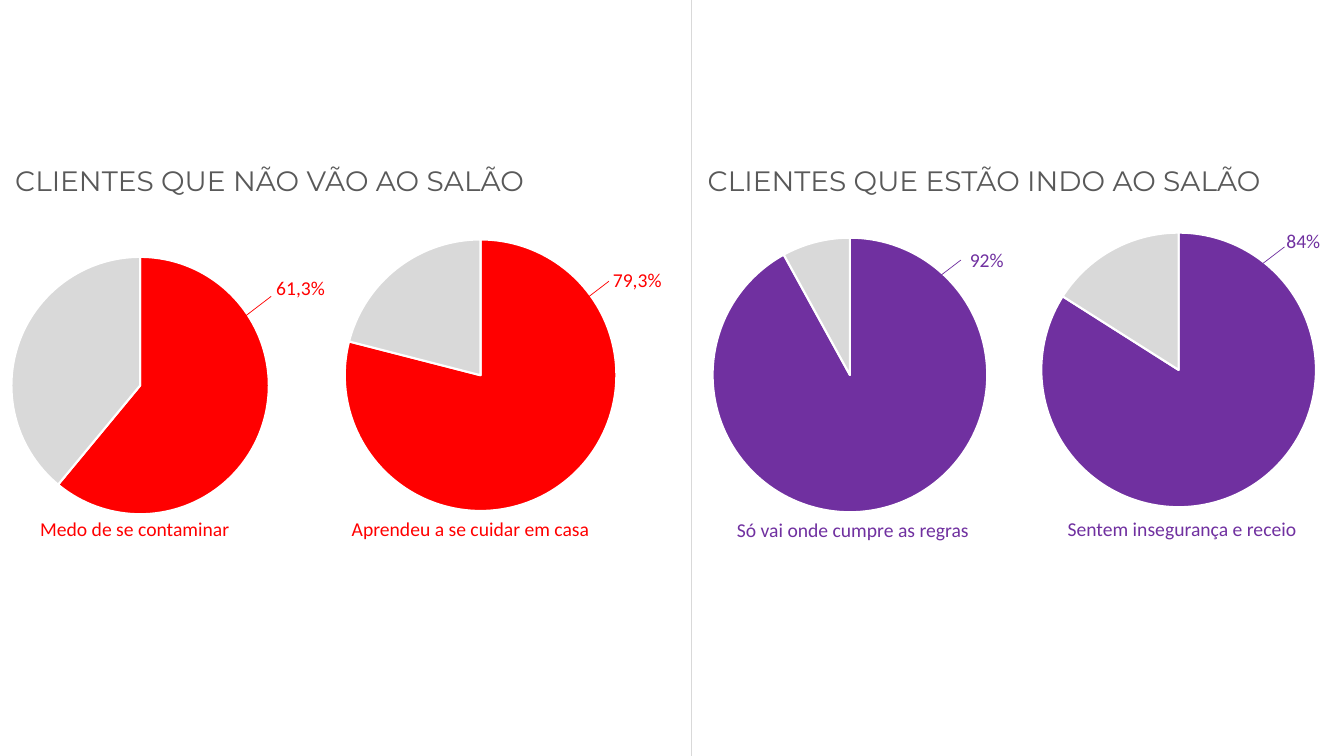
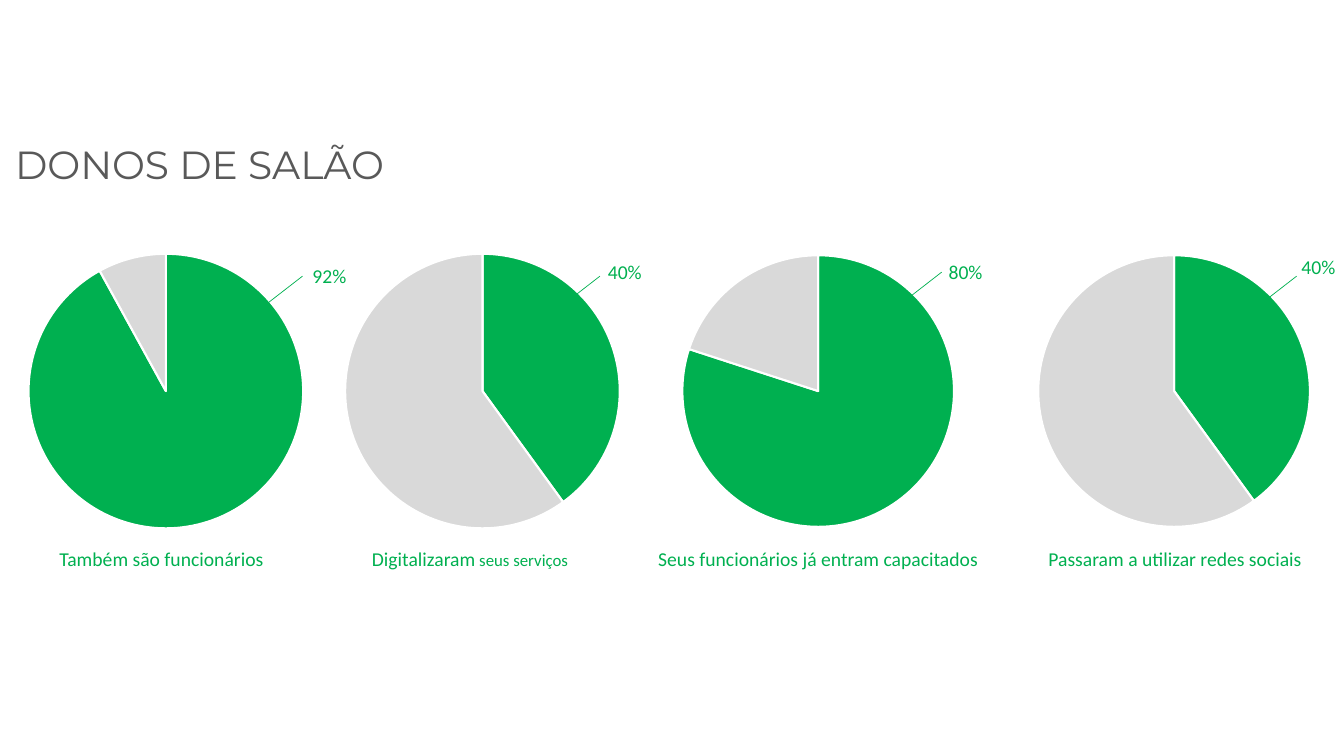
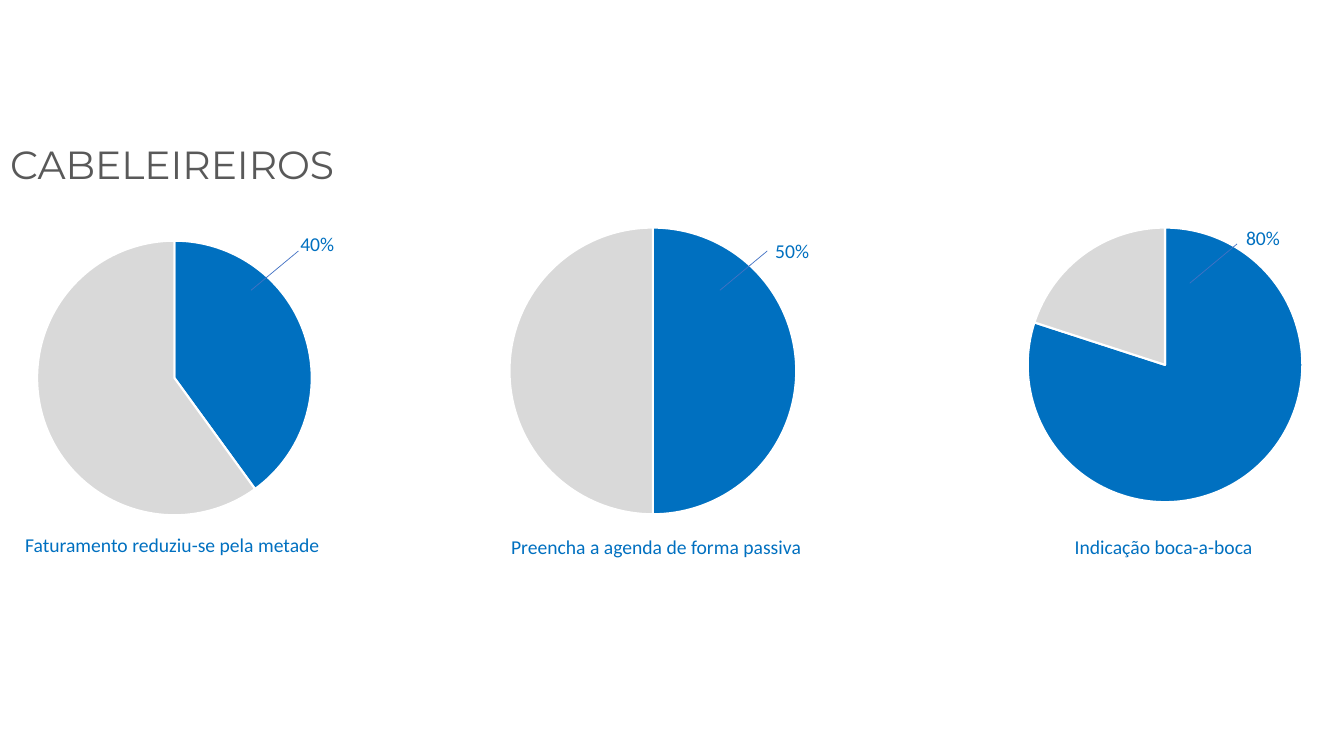
from dataclasses import dataclass

from lxml import etree
from pptx import Presentation
from pptx.chart.data import CategoryChartData
from pptx.dml.color import RGBColor
from pptx.enum.chart import XL_CHART_TYPE
from pptx.enum.shapes import MSO_CONNECTOR
from pptx.enum.text import MSO_ANCHOR, MSO_AUTO_SIZE, PP_ALIGN
from pptx.oxml.ns import qn
from pptx.util import Inches, Pt

PIE = XL_CHART_TYPE.PIE
STRAIGHT = MSO_CONNECTOR.STRAIGHT
TOP = MSO_ANCHOR.TOP
GROW = MSO_AUTO_SIZE.SHAPE_TO_FIT_TEXT
LEFT = PP_ALIGN.LEFT


@dataclass(frozen=True)
class Theme:
    title_font: str = "Montserrat"
    body_font: str = "Calibri"
    title_color: str = "595959"
    rest: str = "D9D9D9"
    border: str = "FFFFFF"
    chart_text: str = "000000"
    red: str = "FF0000"
    purple: str = "7030A0"
    green: str = "00B050"
    blue: str = "0070C0"
    leader_blue: str = "4472C4"
    label_size: float = 14
    small_size: float = 12
    chart_size: float = 10
    hairline: float = 0.5
    slice_border: float = 1.5
    label_height: float = 0.34


THEME = Theme()

# Content. Boxes are (left, top, width, height) in inches.
# Pie: share, chart box, leader start, value text, value position,
#      caption runs (text, size), caption (left, top, width), plot layout
LABEL, SMALL = THEME.label_size, THEME.small_size
SLIDES = [
    {
        "title_size": 20,
        "divider": 6.86,
        "leader": (0.51, -0.39),
        "value_width": 0.71,
        "groups": [
            ("CLIENTES QUE NÃO VÃO AO SALÃO", (0.05, 1.57, 6.28, 0.44), THEME.red, THEME.red, [
                (61, (-0.23, 2.26, 3.27, 3), (2.18, 3.33), "61,3%", (2.64, 2.69),
                 [("Medo de se contaminar", LABEL)], (0.3, 5.08, 2.16), (0.105, 0.073, 0.781, 0.898)),
                (79, (2.98, 2.25, 3.49, 3), (5.53, 3.18), "79,3%", (5.98, 2.61),
                 [("Aprendeu a se cuidar em casa", LABEL)], (3.39, 5.08, 2.67),
                 (0.126, 0.042, 0.772, 0.898)),
            ]),
            ("CLIENTES QUE ESTÃO INDO AO SALÃO", (6.92, 1.57, 6.28, 0.44), THEME.purple, THEME.purple, [
                (92, (6.83, 2.22, 3.2, 3), (9.02, 2.97), "92%", (9.52, 2.41),
                 [("Só vai onde cumpre as regras", LABEL)], (7.21, 5.09, 2.67), None),
                (84, (10.07, 2.17, 3.24, 3), (12.23, 2.84), "84%", (12.66, 2.22),
                 [("Sentem insegurança e receio", LABEL)], (10.49, 5.08, 2.67), None),
            ]),
        ],
    },
    {
        "title_size": 28,
        "leader": (0.58, -0.45),
        "value_width": 0.59,
        "groups": [
            ("DONOS DE SALÃO", (0.05, 1.34, 4.15, 0.57), THEME.green, THEME.green, [
                (92, (-0.11, 2.38, 3.51, 3), (2.42, 3.19), "92%", (3, 2.57),
                 [("Também são funcionários", LABEL)], (0.49, 5.38, 2.3), None),
                (40, (3.09, 2.38, 3.39, 3), (5.37, 3.19), "40%", (5.93, 2.53),
                 [("Digitalizaram", LABEL), (" seus serviços", SMALL)], (3.59, 5.38, 2.3), None),
                (80, (6.63, 2.38, 2.97, 3), (8.76, 3.15), "80%", (9.31, 2.53),
                 [("Seus funcionários já entram capacitados", LABEL)], (6.43, 5.38, 3.44), None),
                (40, (10.16, 2.38, 2.97, 3), (12.28, 3.19), "40%", (12.81, 2.48),
                 [("Passaram a utilizar redes sociais", LABEL)], (10.3, 5.38, 2.87), None),
            ]),
        ],
    },
    {
        "title_size": 28,
        "leader": (0.47, -0.39),
        "value_width": 0.65,
        "groups": [
            ("CABELEIREIROS", (0, 1.34, 4.15, 0.57), THEME.blue, THEME.leader_blue, [
                (40, (0.12, 2.25, 3.22, 3), (2.49, 2.88), "40%", (2.88, 2.25),
                 [("Faturamento reduziu-se pela metade", LABEL)], (0.15, 5.24, 3.39), None),
                (50, (4.69, 2.12, 3.57, 3.12), (7.14, 2.88), "50%", (7.59, 2.32),
                 [("Preencha a agenda de forma passiva", LABEL)], (4.97, 5.26, 3.39), None),
                (80, (9.9, 2.12, 3.31, 3), (11.8, 2.81), "80%", (12.26, 2.19),
                 [("Indicação boca-a-boca", LABEL)], (10.56, 5.26, 2.03), None),
            ]),
        ],
    },
]


def inches(values):
    return [Inches(value) for value in values]


def style_font(font, name, size, color):
    for attribute, value in {"name": name, "size": Pt(size), "bold": False}.items():
        setattr(font, attribute, value)
    font.color.rgb = RGBColor.from_string(color)


def write_text(shape, box, runs, font_name, color):
    """Place a text shape and fill it with (text, size) runs."""
    for attribute, value in zip(("left", "top", "width", "height"), inches(box)):
        setattr(shape, attribute, value)
    frame = shape.text_frame
    for attribute, value in {"word_wrap": True, "auto_size": GROW, "vertical_anchor": TOP}.items():
        setattr(frame, attribute, value)
    paragraph = frame.paragraphs[0]
    paragraph.alignment = LEFT
    for text, size in runs:
        run = paragraph.add_run()
        run.text = text
        style_font(run.font, font_name, size, color)


def add_label(slide, box, runs, color):
    write_text(slide.shapes.add_textbox(*inches(box)), box, runs, THEME.body_font, color)


def add_line(slide, start, end, color):
    line = slide.shapes.add_connector(STRAIGHT, *inches((*start, *end)))
    line.line.color.rgb = RGBColor.from_string(color)
    line.line.width = Pt(THEME.hairline)
    etree.SubElement(line._element.spPr, qn("a:effectLst"))


def set_plot_layout(chart, plot_box):
    """Fix the inner plot area as fractions of the chart."""
    plot_area = chart._chartSpace.chart.plotArea
    for old_layout in plot_area.findall(qn("c:layout")):
        plot_area.remove(old_layout)
    layout = etree.Element(qn("c:layout"))
    manual = etree.SubElement(layout, qn("c:manualLayout"))
    settings = [("layoutTarget", "inner"), ("xMode", "edge"), ("yMode", "edge")]
    for tag, value in settings + list(zip("xywh", plot_box)):
        etree.SubElement(manual, qn(f"c:{tag}")).set("val", str(value))
    plot_area.insert(0, layout)


def add_pie(slide, share, box, color, plot_box):
    data = CategoryChartData()
    data.categories = ["1", "2"]
    data.add_series("Series 1", (share, 100 - share))
    chart = slide.shapes.add_chart(PIE, *inches(box), data).chart
    chart.has_title = False
    chart.has_legend = False
    style_font(chart.font, THEME.body_font, THEME.chart_size, THEME.chart_text)
    chart.plots[0].vary_by_categories = True
    for index, fill_color in enumerate((color, THEME.rest)):
        slice_format = chart.plots[0].series[0].points[index].format
        slice_format.fill.solid()
        slice_format.fill.fore_color.rgb = RGBColor.from_string(fill_color)
        slice_format.line.color.rgb = RGBColor.from_string(THEME.border)
        slice_format.line.width = Pt(THEME.slice_border)
    if plot_box:
        set_plot_layout(chart, plot_box)


def build_slide(presentation, content):
    slide = presentation.slides.add_slide(presentation.slide_layouts.get_by_name("Title Only"))
    groups = content["groups"]

    # Headings: the first is the slide title
    for index, (heading, box, *_) in enumerate(groups):
        shape = slide.shapes.add_textbox(*inches(box)) if index else slide.shapes.title
        write_text(shape, box, [(heading, content["title_size"])], THEME.title_font, THEME.title_color)

    # Pies lie below every line and label
    for _, _, color, _, pies in groups:
        for share, box, *_, plot_box in pies:
            add_pie(slide, share, box, color, plot_box)

    if "divider" in content:
        add_line(slide, (content["divider"], 7.5), (content["divider"], 0), THEME.rest)

    # Leaders, values and captions
    run_x, run_y = content["leader"]
    for _, _, color, leader_color, pies in groups:
        for _, _, start, value, value_at, caption, caption_at, _ in pies:
            add_line(slide, start, (start[0] + run_x, start[1] + run_y), leader_color)
            value_box = (*value_at, content["value_width"], THEME.label_height)
            add_label(slide, value_box, [(value, THEME.label_size)], color)
            add_label(slide, (*caption_at, THEME.label_height), caption, color)


presentation = Presentation()
presentation.slide_width = Inches(13.33)
presentation.slide_height = Inches(7.5)
for slide_content in SLIDES:
    build_slide(presentation, slide_content)
presentation.save("out.pptx")
